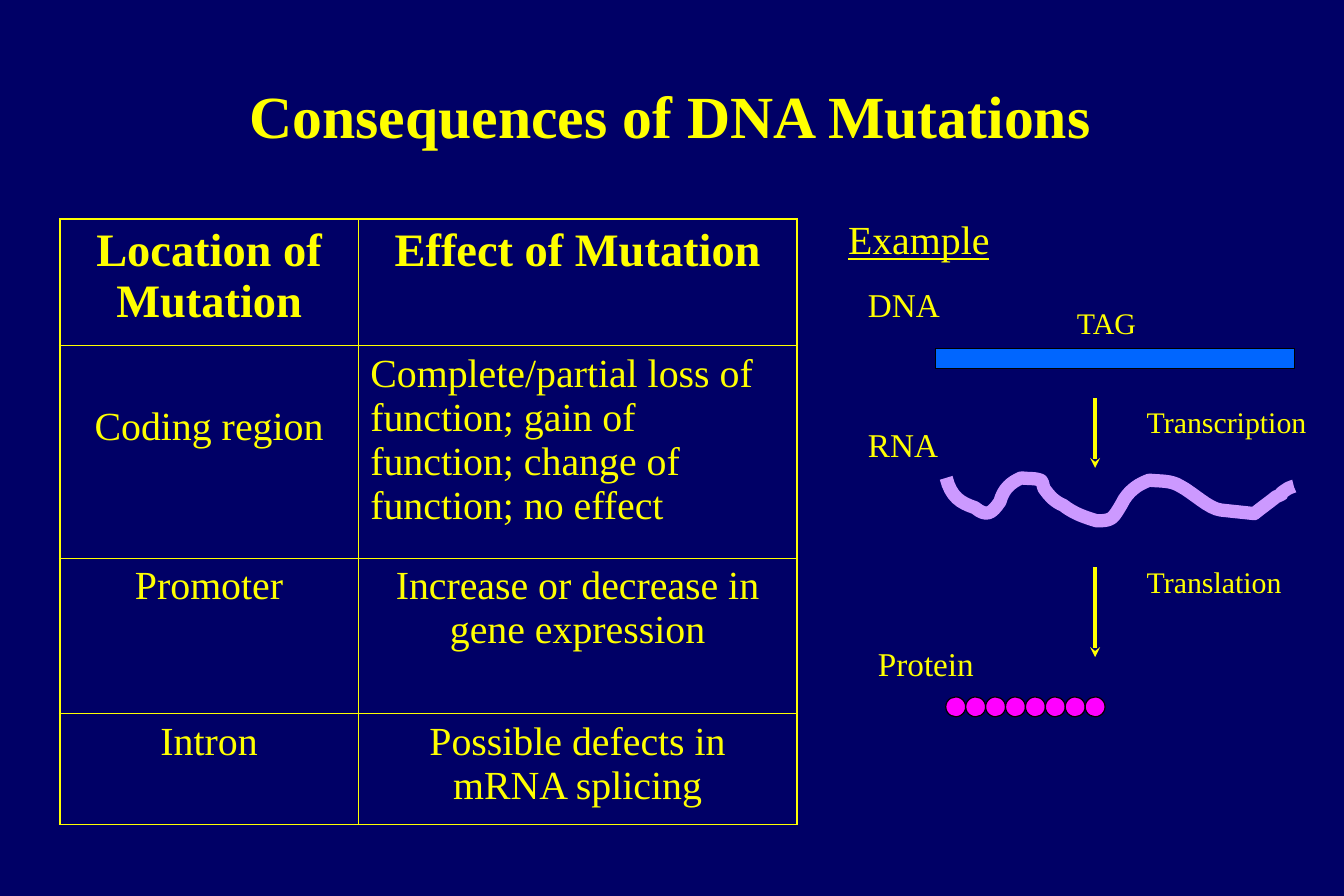
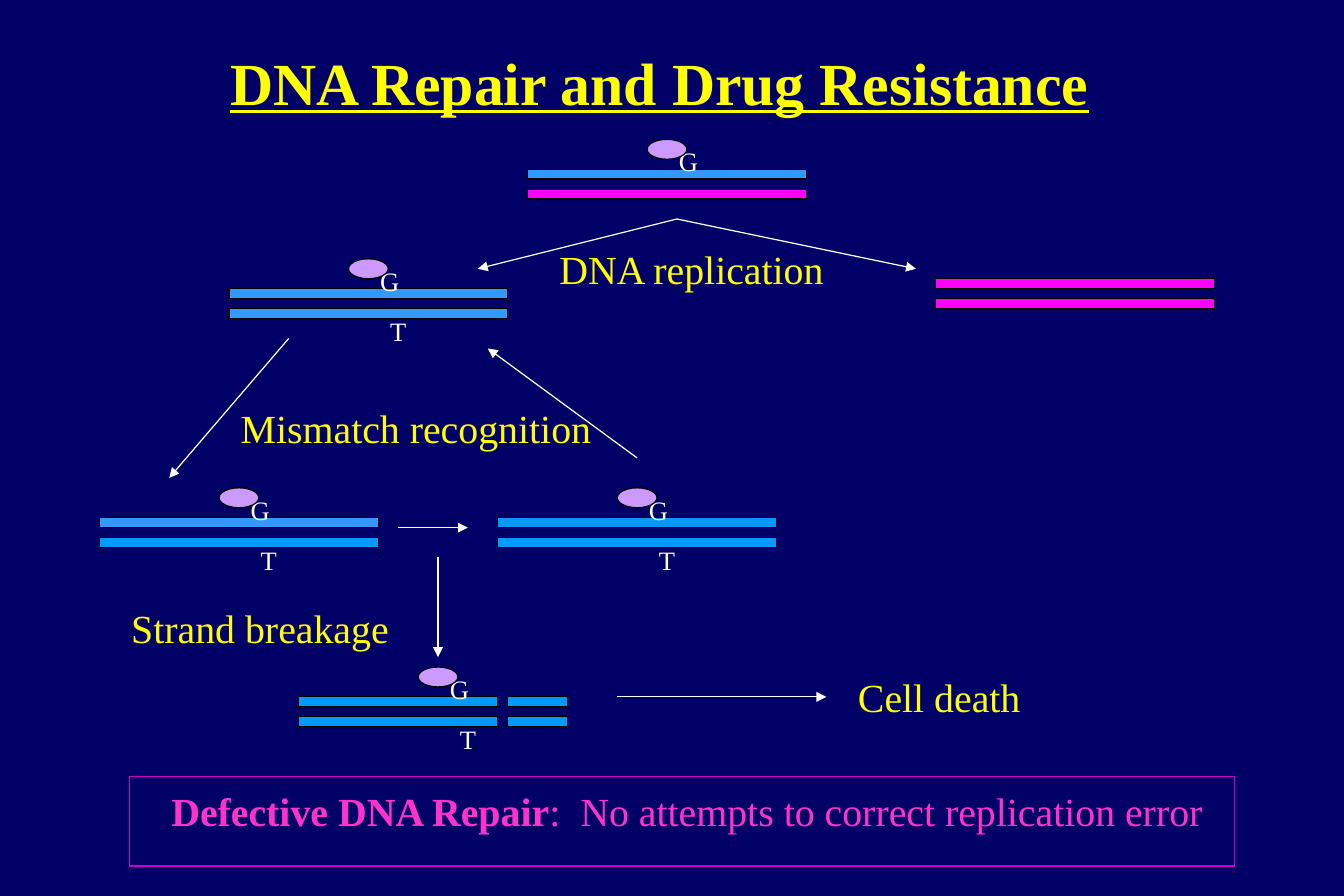
from lxml.etree import SubElement
from pptx import Presentation
from pptx.dml.color import RGBColor
from pptx.enum.shapes import MSO_CONNECTOR, MSO_SHAPE
from pptx.enum.text import MSO_ANCHOR, MSO_AUTO_SIZE, PP_ALIGN
from pptx.oxml import parse_xml
from pptx.oxml.ns import nsdecls, qn
from pptx.util import Emu, Inches, Pt

UNIT = Inches(1) / 12  # grid step: the slide is 135 by 90 units
FONT = "Times New Roman"

NAVY = RGBColor(0x00, 0x00, 0x66)
YELLOW = RGBColor(0xFF, 0xFF, 0x00)
WHITE = RGBColor(0xFF, 0xFF, 0xFF)
BLACK = RGBColor(0x00, 0x00, 0x00)
MAGENTA = RGBColor(0xFF, 0x00, 0xFF)
LILAC = RGBColor(0xCC, 0x99, 0xFF)
GENE_BLUE = RGBColor(0x00, 0x66, 0xFF)
SOFT_BLUE = RGBColor(0x33, 0x99, 0xFF)
BRIGHT_BLUE = RGBColor(0x00, 0x99, 0xFF)
PINK = RGBColor(0xFF, 0x33, 0xCC)
PURPLE = RGBColor(0xCC, 0x00, 0xCC)

# Slide 1. Places are in grid units unless stated otherwise.
EFFECTS = [
    ("Location of Mutation", "Effect of Mutation"),
    ("Coding region",
     "Complete/partial loss of function; gain of function; "
     "change of function; no effect"),
    ("Promoter", "Increase or decrease in gene expression"),
    ("Intron", "Possible defects in mRNA splicing"),
]
COLUMN_INCHES = (2.5, 3.67)
ROW_INCHES = (1.06, 1.78, 1.3, 0.93)

# text, left, top, width, size
EXAMPLE_LABELS = [
    ("DNA", 86, 28, 10, 20),
    ("RNA", 86, 42, 10, 20),
    ("Protein", 87, 64, 13, 20),
    ("TAG", 107, 30, 10, 18),
    ("Transcription", 114, 40, 21, 18),
    ("Translation", 114, 56, 21, 18),
]
EXAMPLE_ARROWS = [((110, 40), (110, 47)), ((110, 57), (110, 66))]
AMINO_ACIDS = 8

# Bezier curves in inches: two control points and an end point each
RNA_START = (7.92, 4)
RNA_CURVES = [
    ((7.96, 4.16), (8.04, 4.21), (8.16, 4.25)),
    ((8.26, 4.33), (8.3, 4.3), (8.37, 4.2)),
    ((8.4, 4.09), (8.46, 4.04), (8.55, 4)),
    ((8.6, 4.01), (8.66, 4), (8.71, 4.02)),
    ((8.73, 4.03), (8.73, 4.07), (8.74, 4.09)),
    ((8.79, 4.16), (8.83, 4.2), (8.9, 4.23)),
    ((8.99, 4.3), (9.08, 4.33), (9.18, 4.36)),
    ((9.22, 4.36), (9.27, 4.36), (9.3, 4.34)),
    ((9.33, 4.33), (9.4, 4.2), (9.41, 4.18)),
    ((9.47, 4.09), (9.54, 4.05), (9.62, 4.02)),
    ((9.72, 4.03), (9.8, 4.02), (9.88, 4.07)),
    ((9.98, 4.12), (10.12, 4.26), (10.22, 4.27)),
    ((10.31, 4.28), (10.41, 4.29), (10.5, 4.3)),
    ((10.56, 4.25), (10.62, 4.21), (10.68, 4.16)),
    ((10.81, 4.1), (10.64, 4.18), (10.78, 4.09)),
    ((10.8, 4.08), (10.83, 4.07), (10.83, 4.07)),
]
CURVE_STEPS = 8

# Slide 2
WHOLE = [(0, 28)]
BROKEN = [(0, 20), (21, 6)]
# left, top, upper colour, lower colour, pieces (offset, length), bases
DUPLEXES = [
    (53, 17, SOFT_BLUE, MAGENTA, WHOLE, "G"),
    (23, 29, SOFT_BLUE, SOFT_BLUE, WHOLE, "GT"),
    (94, 28, MAGENTA, MAGENTA, WHOLE, ""),
    (10, 52, SOFT_BLUE, BRIGHT_BLUE, WHOLE, "GT"),
    (50, 52, BRIGHT_BLUE, BRIGHT_BLUE, WHOLE, "GT"),
    (30, 70, BRIGHT_BLUE, BRIGHT_BLUE, BROKEN, "GT"),
]
BASE_OFFSETS = {"G": (14, -3), "T": (15, 2)}
STEP_LABELS = [
    ("DNA replication", 55, 24, 32),
    ("Mismatch recognition", 23, 40, 40),
    ("Strand breakage", 12, 60, 30),
    ("Cell death", 85, 67, 20),
]
STEP_ARROWS = [
    ((68, 22), (48, 27)),
    ((68, 22), (92, 27)),
    ((29, 34), (17, 48)),
    ((64, 46), (49, 35)),
    ((40, 53), (47, 53)),
    ((44, 56), (44, 66)),
    ((62, 70), (83, 70)),
]
CONCLUSION = ("Defective DNA Repair",
              ":  No attempts to correct replication error")


def grid(*units):
    return [Emu(round(unit * UNIT)) for unit in units]


def set_font(font, size, color=YELLOW, bold=False, underline=False):
    font.name, font.size, font.bold = FONT, Pt(size), bold
    font.underline = underline
    font.color.rgb = color


def add_titled_slide(deck, text, box_inches, underline=False):
    slide = deck.slides.add_slide(deck.slide_layouts[5])
    title = slide.shapes.title
    title.left, title.top, title.width, title.height = map(Inches, box_inches)
    frame = title.text_frame
    frame.text = text
    frame.auto_size = MSO_AUTO_SIZE.NONE
    frame.vertical_anchor = MSO_ANCHOR.MIDDLE
    heading = frame.paragraphs[0]
    heading.alignment = PP_ALIGN.CENTER
    set_font(heading.font, 36, bold=True, underline=underline)
    return slide


def add_label(slide, text, left, top, width, size,
              color=YELLOW, underline=False):
    height = Inches(0.1) + Pt(size * 1.2)
    label = slide.shapes.add_textbox(*grid(left, top, width), height)
    frame = label.text_frame
    frame.word_wrap = True
    frame.text = text
    set_font(frame.paragraphs[0].font, size, color, underline=underline)


def add_block(slide, preset, box, fill, line=BLACK):
    block = slide.shapes.add_shape(preset, *grid(*box))
    block.shadow.inherit = False
    if fill is None:
        block.fill.background()
    else:
        block.fill.solid()
        block.fill.fore_color.rgb = fill
    block.line.color.rgb = line
    block.line.width = Pt(0.75)
    return block


def add_arrow(slide, start, end, color, width, head):
    arrow = slide.shapes.add_connector(
        MSO_CONNECTOR.STRAIGHT, *grid(*start, *end))
    arrow.line.color.rgb = color
    arrow.line.width = Pt(width)
    SubElement(arrow.line._get_or_add_ln(), qn("a:tailEnd"), type=head)
    SubElement(arrow._element.spPr, qn("a:effectLst"))


def add_cell_borders(cell):
    properties = cell._tc.get_or_add_tcPr()
    for position, side in enumerate("LRTB"):
        properties.insert(position, parse_xml(
            f'<a:ln{side} {nsdecls("a")} w="{Pt(1.08)}"><a:solidFill>'
            f'<a:srgbClr val="{YELLOW}"/></a:solidFill></a:ln{side}>'))


def add_effect_table(slide):
    table = slide.shapes.add_table(
        len(ROW_INCHES), len(COLUMN_INCHES), *grid(6, 22),
        Inches(sum(COLUMN_INCHES)), Inches(sum(ROW_INCHES))).table
    table.first_row = table.horz_banding = False
    for column, width in zip(table.columns, COLUMN_INCHES):
        column.width = Inches(width)
    for row, height, texts in zip(table.rows, ROW_INCHES, EFFECTS):
        row.height = Inches(height)
        is_header = texts is EFFECTS[0]
        for cell, text in zip(row.cells, texts):
            cell.text = text
            cell.fill.background()
            add_cell_borders(cell)
            paragraph = cell.text_frame.paragraphs[0]
            paragraph.alignment = PP_ALIGN.CENTER
            set_font(paragraph.font, 28 if is_header else 24, bold=is_header)
    table.cell(1, 0).margin_top = Inches(0.5)
    table.cell(1, 1).text_frame.paragraphs[0].alignment = PP_ALIGN.LEFT


def curve_points(start, curves):
    """Return points along a chain of cubic Bezier curves."""
    points = []
    for first, second, end in curves:
        for step in range(1, CURVE_STEPS + 1):
            t = step / CURVE_STEPS
            weights = ((1 - t) ** 3, 3 * t * (1 - t) ** 2,
                       3 * t * t * (1 - t), t ** 3)
            points.append(tuple(
                Inches(sum(w * v for w, v in zip(weights, values)))
                for values in zip(start, first, second, end)))
        start = end
    return points


def add_rna(slide):
    builder = slide.shapes.build_freeform(*map(Inches, RNA_START))
    builder.add_line_segments(curve_points(RNA_START, RNA_CURVES), close=False)
    rna = builder.convert_to_shape()
    rna.shadow.inherit = False
    rna.fill.background()
    rna.line.color.rgb = LILAC
    rna.line.width = Pt(8)


def add_duplex(slide, left, top, upper, lower, pieces, bases):
    for strand_top, color in ((top, upper), (top + 2, lower)):
        for offset, length in pieces:
            add_block(slide, MSO_SHAPE.RECTANGLE,
                      (left + offset, strand_top, length, 1), color)
    for base in bases:
        across, down = BASE_OFFSETS[base]
        add_label(slide, base, left + across, top + down, 4, 16, WHITE)
    if bases:
        add_block(slide, MSO_SHAPE.OVAL, (left + 12, top - 3, 4, 2), LILAC)


def add_conclusion(slide):
    panel = add_block(slide, MSO_SHAPE.RECTANGLE, (13, 78, 111, 9),
                      None, PURPLE)
    frame = panel.text_frame
    frame.vertical_anchor = MSO_ANCHOR.TOP
    frame.margin_left, frame.margin_top = Inches(0.35), Inches(0.13)
    paragraph = frame.paragraphs[0]
    paragraph.alignment = PP_ALIGN.LEFT
    paragraph.line_spacing = 0.9
    for text, bold in zip(CONCLUSION, (True, False)):
        run = paragraph.add_run()
        run.text = text
        set_font(run.font, 24, PINK, bold)


def build_consequences(deck):
    slide = add_titled_slide(deck, "Consequences of DNA Mutations",
                             (0.83, 0.67, 9.56, 0.58))
    add_effect_table(slide)
    add_rna(slide)
    for index in range(AMINO_ACIDS):
        add_block(slide, MSO_SHAPE.OVAL, (95 + 2 * index, 70, 2, 2), MAGENTA)
    add_label(slide, "Example", 84, 21, 27, 24, underline=True)
    for label in EXAMPLE_LABELS:
        add_label(slide, *label)
    add_block(slide, MSO_SHAPE.RECTANGLE, (94, 35, 36, 2), GENE_BLUE)
    for start, end in EXAMPLE_ARROWS:
        add_arrow(slide, start, end, YELLOW, 2, "stealth")


def build_repair(deck):
    slide = add_titled_slide(deck, "DNA Repair and Drug Resistance",
                             (1.52, 0.33, 8, 0.7), underline=True)
    for duplex in DUPLEXES:
        add_duplex(slide, *duplex)
    for start, end in STEP_ARROWS:
        add_arrow(slide, start, end, WHITE, 0.75, "triangle")
    for label in STEP_LABELS:
        add_label(slide, *label, 24)
    add_conclusion(slide)


def main():
    deck = Presentation()
    deck.slide_width, deck.slide_height = grid(135, 90)
    background = deck.slide_master.background.fill
    background.solid()
    background.fore_color.rgb = NAVY
    build_consequences(deck)
    build_repair(deck)
    deck.save("out.pptx")


if __name__ == "__main__":
    main()
